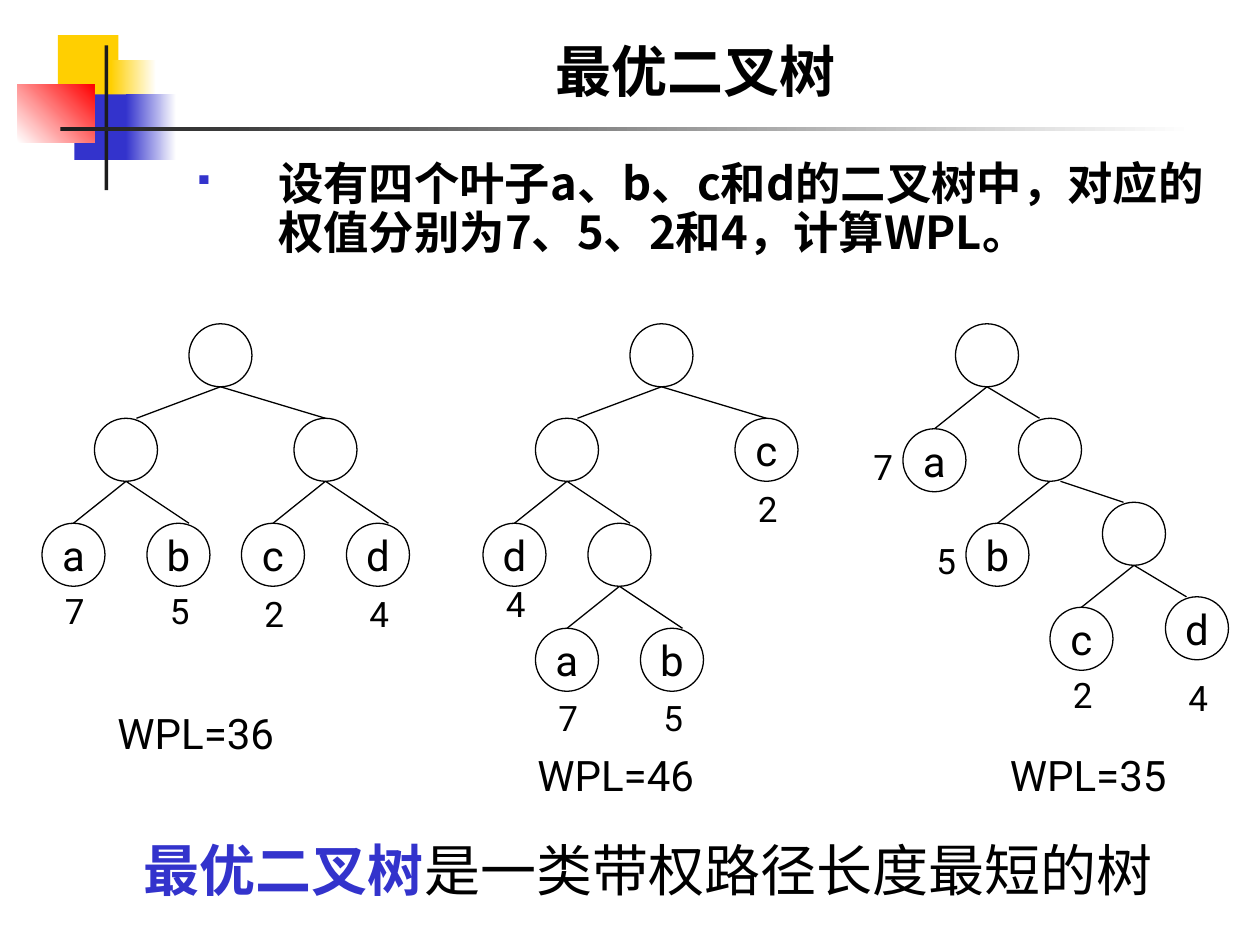
from dataclasses import dataclass

from lxml import etree
from pptx import Presentation
from pptx import util as u
from pptx.dml.color import RGBColor
from pptx.enum import shapes as kinds, text as modes
from pptx.oxml.ns import qn


class Theme:
    latin, cjk = "Roboto", "Noto Sans CJK SC"
    black, white, dark = "000000", "FFFFFF", "1C1C1C"
    blue, gold, red = "3333CC", "FFCF01", "FF0000"
    title, body, node, weight = 32, 25.9, 24, 20
    line = 0.75


WIDE, HIGH = 10, 7.5
CELL = 1 / 12   # tree grid step in inches
TOP = 2.57      # grid row 0 in inches
SIZE = 6        # node diameter in cells


@dataclass
class Node:
    """Tree node; dock and leave are the edge's ends, in cells from the left of child and parent."""
    col: float
    row: float
    name: str = ""
    weight: str = ""
    label: tuple = (1, 6)
    dock: float = 3
    leave: float = 3
    kids: tuple = ()


TREES = [
    Node(18, 0, kids=(
        Node(9, 9, dock=4, kids=(
            Node(4, 19, "a", "7", (1, 5.75)),
            Node(14, 19, "b", "5", (1, 5.75), dock=4))),
        Node(28, 9, kids=(
            Node(23, 19, "c", "2"),
            Node(33, 19, "d", "4", dock=4))))),
    Node(60, 0, kids=(
        Node(51, 9, dock=4, kids=(
            Node(46, 19, "d", "4", (1, 5)),
            Node(56, 19, dock=4, kids=(
                Node(51, 29, "a", "7", (1, 5.9)),
                Node(61, 29, "b", "5", (1, 5.9), dock=4))))),
        Node(70, 9, "c", "2"))),
    Node(91, 0, kids=(
        Node(86, 10, "a", "7", (-4, 1)),
        Node(97, 9, dock=2, kids=(
            Node(92, 19, "b", "5", (-4, 1)),
            Node(105, 17, dock=2, leave=4, kids=(
                Node(100, 27, "c", "2", (1, 5.75)),
                Node(111, 26, "d", "4", (1, 7), dock=2))))))),
]
TOTALS = [(10, 36, "WPL=36"), (50, 40, "WPL=46"), (95, 40, "WPL=35")]

# left, top, width, height in percent of the slide; start colour, end colour, angle
ORNAMENT = [
    (4.6, 3.73, 4.8, 6.93, Theme.gold, None, 0),
    (8.8, 6.4, 3.6, 6.93, Theme.gold, Theme.white, 0),
    (5.9, 10, 4.6, 6.93, Theme.blue, None, 0),
    (10, 10, 4, 6.93, Theme.blue, Theme.white, 0),
    (1.4, 8.93, 6.1, 6.13, Theme.white, Theme.red, 45),
    (8.3, 4.8, 0.3, 15.33, Theme.dark, None, 0),
    (4.8, 13.47, 90, 0.4, Theme.dark, Theme.white, 0),
]


def share(left, top, width, height):
    """Turn percent of the slide into lengths."""
    return [u.Inches(part * side / 100) for part, side
            in zip((left, top, width, height), (WIDE, HIGH) * 2)]


def spot(col, row):
    return u.Inches(col * CELL), u.Inches(TOP + row * CELL)


def cells(count):
    return u.Inches(count * CELL)


def rgb(code):
    return RGBColor.from_string(code)


def write(para, words, size=Theme.node, color=Theme.black, bold=False,
          font=Theme.latin, align=None):
    run = para.add_run()
    run.text = words
    face = run.font
    face.name, face.size, face.bold = font, u.Pt(size), bold
    face.color.rgb = rgb(color)
    east = etree.Element(qn("a:ea"), typeface=Theme.cjk)
    face._element.find(qn("a:latin")).addnext(east)
    if align is not None:
        para.alignment = align


def box(parent, place, wrap=True):
    """Add an empty text box and return its first paragraph."""
    frame = parent.add_textbox(*place).text_frame
    frame.word_wrap = wrap
    return frame.paragraphs[0]


def bullet(para, mark, indent):
    props = para._p.get_or_add_pPr()
    props.set("marL", str(indent))
    props.set("indent", str(-indent))
    tint = etree.SubElement(props, qn("a:buClr"))
    etree.SubElement(tint, qn("a:srgbClr"), val=Theme.blue)
    etree.SubElement(props, qn("a:buSzPct"), val="60000")
    etree.SubElement(props, qn("a:buChar"), char=mark)


def block(parent, place, start, end, angle):
    shape = parent.add_shape(kinds.MSO_SHAPE.RECTANGLE, *place)
    shape.shadow.inherit = False
    shape.line.fill.background()
    if end is None:
        shape.fill.solid()
        shape.fill.fore_color.rgb = rgb(start)
        return
    shape.fill.gradient()
    shape.fill.gradient_angle = angle
    for stop, code, pos in zip(shape.fill.gradient_stops, (start, end), (0, 1)):
        stop.color.rgb = rgb(code)
        stop.position = pos


def circle(parent, node):
    shape = parent.add_shape(kinds.MSO_SHAPE.OVAL, *spot(node.col, node.row),
                             cells(SIZE), cells(SIZE))
    shape.shadow.inherit = False
    shape.fill.background()
    shape.line.color.rgb = rgb(Theme.black)
    shape.line.width = u.Pt(Theme.line)
    if node.name:
        frame = shape.text_frame
        frame.word_wrap = False
        frame.vertical_anchor = modes.MSO_ANCHOR.MIDDLE
        frame.margin_left = frame.margin_right = 0
        frame.margin_top = frame.margin_bottom = 0
        write(frame.paragraphs[0], node.name, align=modes.PP_ALIGN.CENTER)


def edge(parent, node, kid):
    line = parent.add_connector(
        kinds.MSO_CONNECTOR.STRAIGHT,
        *spot(node.col + kid.leave, node.row + SIZE),
        *spot(kid.col + kid.dock, kid.row))
    line.line.color.rgb = rgb(Theme.black)
    line.line.width = u.Pt(Theme.line)
    etree.SubElement(line._element.spPr, qn("a:effectLst"))


def tree(parent, node):
    circle(parent, node)
    if node.weight:
        right, down = node.label
        place = *spot(node.col + right, node.row + down), cells(4), u.Inches(0.44)
        write(box(parent, place), node.weight, size=Theme.weight)
    for kid in node.kids:
        edge(parent, node, kid)
        tree(parent, kid)


def head(shape, words):
    shape.left, shape.top, shape.width, shape.height = share(12.6, 5.6, 85.2, 6)
    frame = shape.text_frame
    frame.vertical_anchor = modes.MSO_ANCHOR.BOTTOM
    frame.auto_size = modes.MSO_AUTO_SIZE.NONE
    write(frame.paragraphs[0], words, size=Theme.title, bold=True,
          align=modes.PP_ALIGN.CENTER)


def main():
    deck = Presentation()
    deck.slide_width, deck.slide_height = u.Inches(WIDE), u.Inches(HIGH)
    slide = deck.slides.add_slide(deck.slide_layouts[5])
    items = slide.shapes

    for *place, start, end, angle in ORNAMENT:
        block(items, share(*place), start, end, angle)
    head(items.title, "最优二叉树")

    task = box(items, share(14.4, 16.4, 83.6, 17.87))
    bullet(task, "▪", u.Inches(0.67))
    task.line_spacing = 0.9
    write(task, "设有四个叶子a、b、c和d的二叉树中，对应的权值分别为7、5、2和4，计算WPL。",
          size=Theme.body, bold=True, font=Theme.cjk)

    for root in TREES:
        tree(items.add_group_shape().shapes, root)
    for col, row, words in TOTALS:
        write(box(items, (*spot(col, row), cells(21), cells(6))), words)

    foot = box(items, share(10.4, 87.73, 82.1, 8.53), wrap=False)
    write(foot, "最优二叉树", size=Theme.title, color=Theme.blue, bold=True)
    write(foot, "是一类带权路径长度最短的树", size=Theme.title,
          align=modes.PP_ALIGN.CENTER)

    deck.save("out.pptx")


if __name__ == "__main__":
    main()
